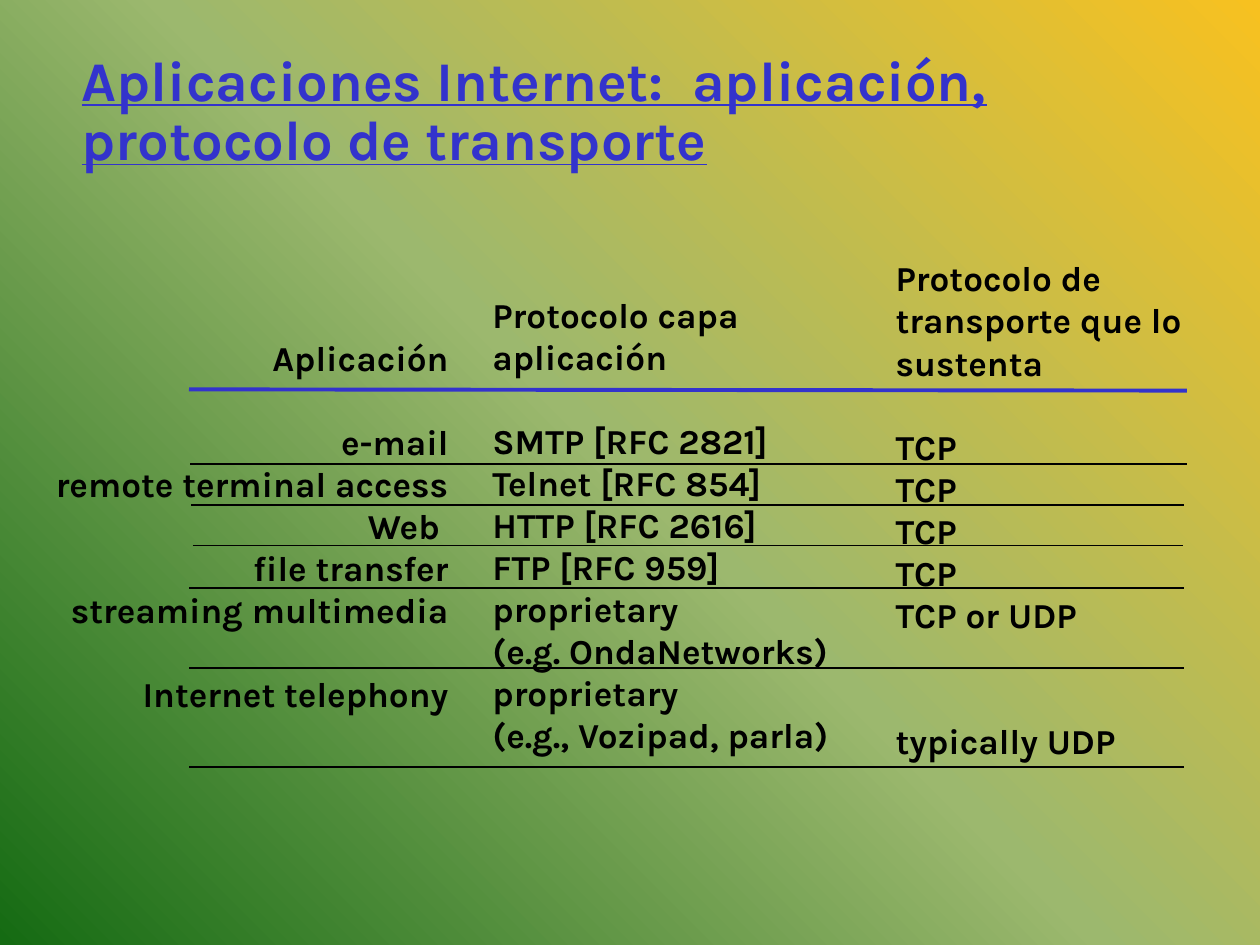
from copy import deepcopy
from dataclasses import dataclass

from pptx import Presentation
from pptx.dml.color import RGBColor
from pptx.enum.shapes import MSO_CONNECTOR
from pptx.enum.text import MSO_ANCHOR, MSO_AUTO_SIZE, PP_ALIGN
from pptx.oxml.ns import qn
from pptx.util import Pt


@dataclass(frozen=True)
class Theme:
    font: str = "Karla"
    title_size: float = 32
    body_size: float = 20
    row_height: float = 24
    accent: str = "3333CC"
    ink: str = "000000"
    background: tuple = ((0, "F7C120"), (0.5, "9CB86E"), (1, "156B13"))


THEME = Theme()


def write(paragraph, text, *, size=THEME.body_size, color=THEME.ink,
          underline=False, align=PP_ALIGN.LEFT, before=0, spacing=1.0):
    """Put formatted text in a paragraph."""
    paragraph.alignment = align
    paragraph.space_before = Pt(before)
    paragraph.line_spacing = spacing
    run = paragraph.add_run()
    run.text = text
    font = run.font
    font.name, font.size, font.bold = THEME.font, Pt(size), True
    font.underline = underline
    font.color.rgb = RGBColor.from_string(color)


class SlideBuilder:
    def __init__(self, slide, theme):
        self.slide = slide
        self.theme = theme

    def background(self):
        fill = self.slide.background.fill
        fill.gradient()
        fill.gradient_angle = 225
        stop_list = self.slide.element.find(".//" + qn("a:gsLst"))
        stop_list.insert(1, deepcopy(stop_list[0]))
        for stop, (position, color) in zip(fill.gradient_stops, self.theme.background):
            stop.position = position
            stop.color.rgb = RGBColor.from_string(color)

    def text_frame(self, left, top, width, height, inset_top=3.6):
        shape = self.slide.shapes.add_textbox(Pt(left), Pt(top), Pt(width), Pt(height))
        frame = shape.text_frame
        frame.word_wrap = True
        frame.margin_left = frame.margin_right = Pt(7.2)
        frame.margin_top, frame.margin_bottom = Pt(inset_top), Pt(3.6)
        return frame

    def title(self, text, left, top, width, height):
        frame = self.text_frame(left, top, width, height, inset_top=7.2)
        frame.vertical_anchor = MSO_ANCHOR.MIDDLE
        write(frame.paragraphs[0], text, size=self.theme.title_size,
              color=self.theme.accent, underline=True, spacing=0.88)

    def column(self, entries, left, top, width, height, align=PP_ALIGN.LEFT):
        """Each entry is its text and the number of empty rows above it."""
        frame = self.text_frame(left, top, width, height)
        frame.auto_size = MSO_AUTO_SIZE.SHAPE_TO_FIT_TEXT
        for index, (text, skipped_rows) in enumerate(entries):
            paragraph = frame.add_paragraph() if index else frame.paragraphs[0]
            write(paragraph, text, align=align,
                  before=skipped_rows * self.theme.row_height)

    def rule(self, left, right, top, bottom=None, color=THEME.ink, weight=1):
        bottom = top if bottom is None else bottom
        connector = self.slide.shapes.add_connector(
            MSO_CONNECTOR.STRAIGHT, Pt(left), Pt(top), Pt(right), Pt(bottom))
        connector.line.color.rgb = RGBColor.from_string(color)
        connector.line.width = Pt(weight)
        properties = connector.element.spPr
        properties.append(properties.makeelement(qn("a:effectLst"), {}))


APPLICATIONS = [
    ("Aplicación", 0), ("e-mail", 1), ("remote terminal access", 0), ("Web ", 0),
    ("file transfer", 0), ("streaming multimedia", 0), ("Internet telephony", 1),
]
APPLICATION_PROTOCOLS = [
    ("Protocolo capa", 0), ("aplicación", 0), ("SMTP [RFC 2821]", 1),
    ("Telnet [RFC 854]", 0), ("HTTP [RFC 2616]", 0), ("FTP [RFC 959]", 0),
    ("proprietary", 0), ("(e.g. OndaNetworks)", 0),
    ("proprietary", 0), ("(e.g., Vozipad, parla)", 0),
]
TRANSPORT_PROTOCOLS = [
    ("Protocolo de transporte que lo sustenta", 0), ("TCP", 1), ("TCP", 0),
    ("TCP", 0), ("TCP", 0), ("TCP or UDP", 0), ("typically UDP", 2),
]
# Left, right and height of the line under each row
ROW_RULES = [
    (108.7, 678.2, 265), (109.4, 676.8, 288.5), (110.2, 676.1, 311.8),
    (108, 676.8, 336.2), (108, 676.8, 381.6), (108, 676.8, 438.5),
]


def main():
    presentation = Presentation()
    presentation.slide_width, presentation.slide_height = Pt(720), Pt(540)
    slide = presentation.slides.add_slide(presentation.slide_layouts[6])
    builder = SlideBuilder(slide, THEME)

    # Background and title
    builder.background()
    builder.title("Aplicaciones Internet:  aplicación, protocolo de transporte",
                  39.6, 18, 563.8, 90)

    # Text columns
    builder.column(APPLICATIONS, 15.8, 188.6, 247.7, 274.3, align=PP_ALIGN.RIGHT)
    builder.column(APPLICATION_PROTOCOLS, 274.3, 164.2, 227.5, 298.1)
    builder.column(TRANSPORT_PROTOCOLS, 504.7, 143.3, 203.8, 295.2)

    # Header line and row lines
    builder.rule(108, 678.2, 222.5, 223.2, color=THEME.accent, weight=2.25)
    for left, right, top in ROW_RULES:
        builder.rule(left, right, top)

    presentation.save("out.pptx")


if __name__ == "__main__":
    main()
